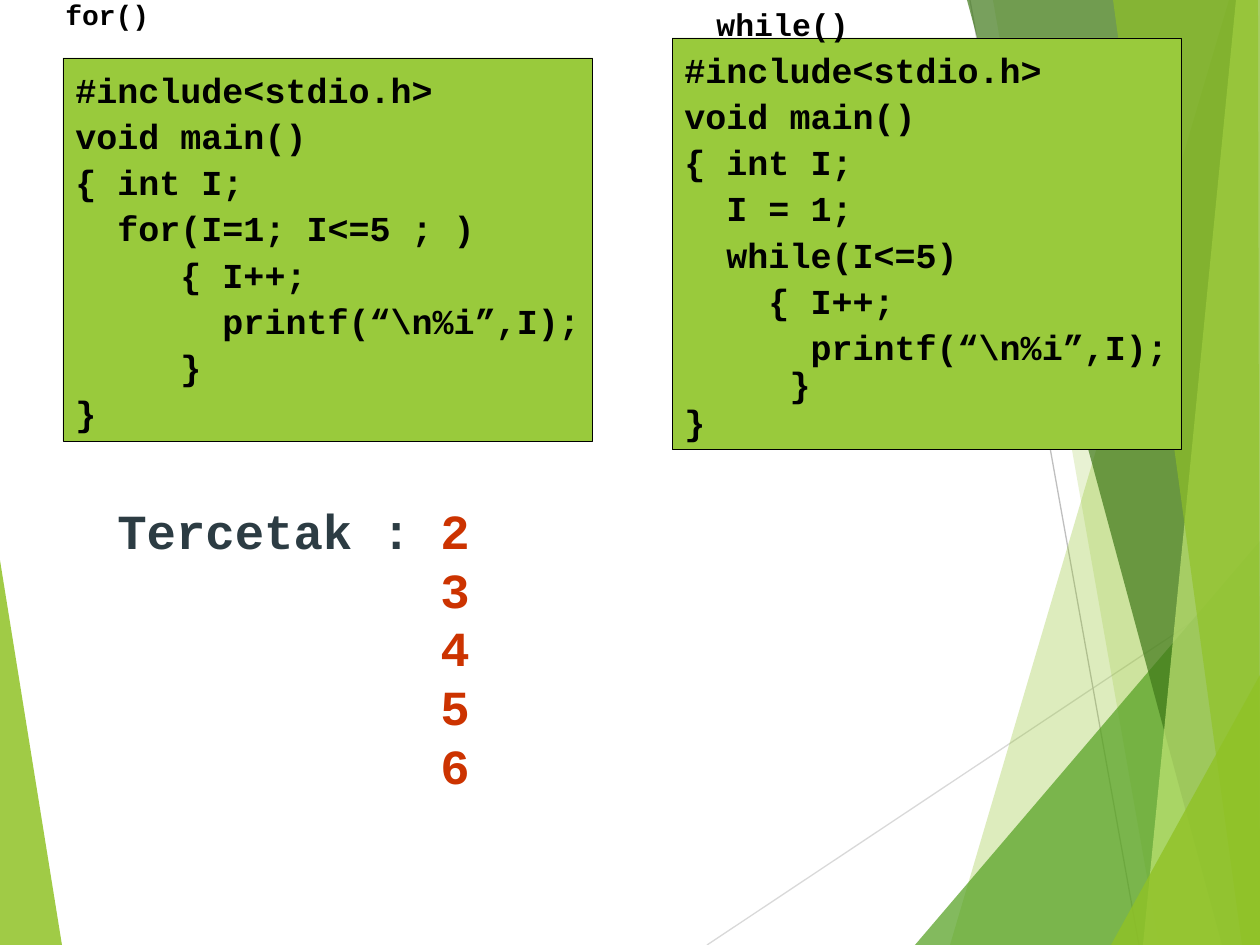
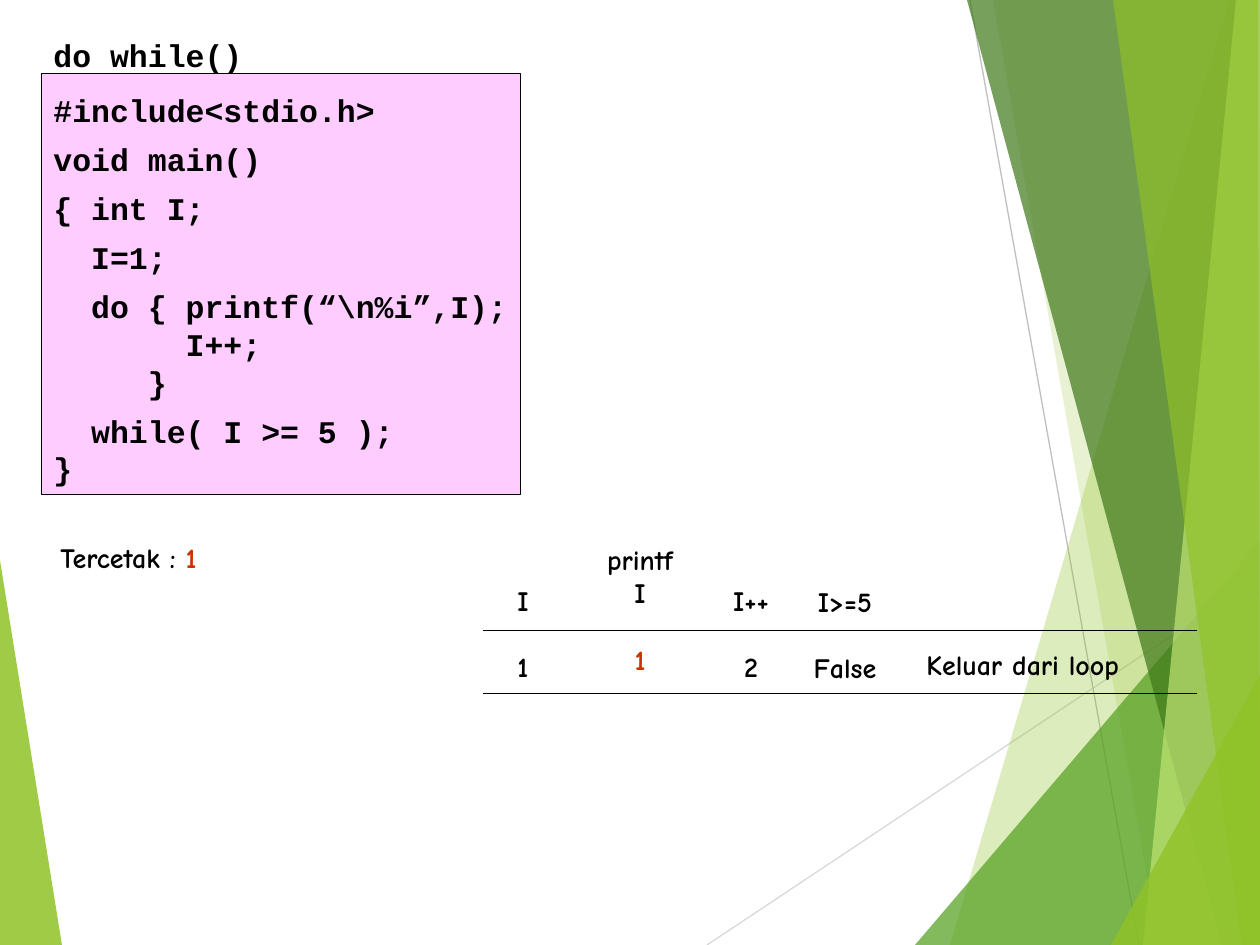
from lxml import etree
from pptx import Presentation
from pptx import util as u
from pptx.dml import color
from pptx.enum import shapes, text
from pptx.oxml import ns

PX = 914400 / 126
WIDTH, HEIGHT = 1260, 945
CODE_FONT, NOTE_FONT = "Courier New", "Comic Neue"
COLOURS = {
    "ink": "000000",
    "slate": "2C3C43",
    "red": "CC3300",
    "code_green": "99CA3C",
    "code_pink": "FFCCFF",
    "leaf": "90C226",
    "grass": "54A021",
    "forest": "3F7819",
    "lime": "C0E474",
    "pale_grey": "D9D9D9",
    "grey": "BFBFBF",
}

LEFT_FACET = ("leaf", 85, [(0, 560), (62, 945), (0, 945)])
RIGHT_FACETS = [
    ("leaf", 30, [(1229, 0), (950, 945), (1260, 945), (1260, 0)]),
    ("leaf", 20, [(993, 0), (1159, 945), (1260, 945), (1260, 0)]),
    ("grass", 72, [(915, 945), (1260, 541), (1260, 945)]),
    ("forest", 70, [(967, 0), (1222, 945), (1260, 945), (1260, 0)]),
    ("lime", 70, [(1236, 0), (1143, 945), (1260, 945), (1260, 0)]),
    ("leaf", 65, [(1113, 0), (1242, 945), (1260, 945), (1258, 0)]),
    ("leaf", 80, [(1111, 945), (1260, 675), (1260, 945)]),
]

FOR_CODE = [
    "#include<stdio.h>",
    "void main()",
    "{ int I;",
    "  for(I=1; I<=5 ; )",
    "     { I++;",
    "       printf(“\\n%i”,I);",
    "     }",
    "}",
]
WHILE_CODE = [
    "#include<stdio.h>",
    "void main()",
    "{ int I;",
    "  I = 1;",
    "  while(I<=5)",
    "    { I++;",
    "      printf(“\\n%i”,I);",
    "     }",
    "}",
]
DO_CODE = [
    "#include<stdio.h>",
    "void main()",
    "{ int I;",
    "  I=1;",
    "  do { printf(“\\n%i”,I);",
    "       I++;",
    "     }",
    "  while( I >= 5 );",
    "}",
]


def emu(*lengths):
    return [u.Emu(round(length * PX)) for length in lengths]


def rgb(name):
    return color.RGBColor.from_string(COLOURS[name])


def write(shape, lines, size, font=CODE_FONT, align=text.PP_ALIGN.LEFT):
    frame = shape.text_frame
    frame.word_wrap = False
    frame.auto_size = text.MSO_AUTO_SIZE.NONE
    frame.vertical_anchor = text.MSO_ANCHOR.TOP
    for index, spans in enumerate(lines):
        para = frame.paragraphs[0] if index == 0 else frame.add_paragraph()
        para.alignment = align
        para.font.name = font
        para.font.size = u.Pt(size)
        para.font.bold = True
        para.font.color.rgb = rgb("ink")
        for words, colour in spans:
            span = para.add_run()
            span.text = words
            if colour != "ink":
                span.font.color.rgb = rgb(colour)
    return frame.paragraphs


def add_label(page, box, lines, size, **style):
    label = page.shapes.add_textbox(*emu(*box))
    paras = write(label, lines, size, **style)
    label.text_frame.word_wrap = True
    return paras


def add_line(page, start, end, colour, width=0.5):
    line = page.shapes.add_connector(
        shapes.MSO_CONNECTOR.STRAIGHT, *emu(*start, *end))
    line.line.color.rgb = rgb(colour)
    line.line.width = u.Pt(width)
    etree.SubElement(line._element.spPr, ns.qn("a:effectLst"))


def add_facet(page, colour, opacity, points):
    builder = page.shapes.build_freeform(*points[0], scale=PX)
    builder.add_line_segments(points[1:], close=True)
    facet = builder.convert_to_shape()
    facet.shadow.inherit = False
    facet.fill.solid()
    facet.fill.fore_color.rgb = rgb(colour)
    facet.line.fill.background()
    tint = facet._element.spPr.find(".//" + ns.qn("a:srgbClr"))
    etree.SubElement(tint, ns.qn("a:alpha"), val=str(opacity * 1000))


def move_backdrop_to_layout(page):
    layout = page.slide_layout
    for holder in list(layout.placeholders):
        holder._element.getparent().remove(holder._element)
    add_facet(page, *LEFT_FACET)
    add_line(page, (707, HEIGHT), (WIDTH, 577), "pale_grey", 0.75)
    add_line(page, (970, 0), (1139, HEIGHT), "grey", 0.75)
    for facet in RIGHT_FACETS:
        add_facet(page, *facet)
    for shape in list(page.shapes):
        layout.shapes._spTree.append(shape._element)


def add_code(page, box, code, spacings, size, fill):
    panel = page.shapes.add_shape(shapes.MSO_SHAPE.RECTANGLE, *emu(*box))
    panel.shadow.inherit = False
    panel.fill.solid()
    panel.fill.fore_color.rgb = rgb(fill)
    panel.line.color.rgb = rgb("ink")
    panel.line.width = u.Pt(0.5)
    paras = write(panel, [[(line, "ink")] for line in code], size)
    for para, spacing in zip(paras, spacings):
        para.line_spacing = spacing


def add_printed(page, box):
    lines = [[("Tercetak :", "slate"), (" 2", "red")]]
    lines += [[(str(number), "red")] for number in range(3, 7)]
    paras = add_label(page, box, lines, 28)
    indent = emu(323)[0]
    for para in paras[1:]:
        para._p.get_or_add_pPr().set("marL", str(indent))


def add_trace(page, left, top, width):
    columns = [
        (40, 41, ["I"], "1", "ink"),
        (157, 0, ["printf", "I"], "1", "red"),
        (268, 41, ["I++"], "2", "ink"),
        (362, 42, ["I>=5"], "False", "ink"),
    ]
    column_width = 110
    for centre, y, heading, value, colour in columns:
        lines = [[(words, "ink")] for words in heading] + [[(value, colour)]]
        height = 80 + 34 * len(heading)
        box = (left + centre - column_width // 2, top + y, column_width, height)
        paras = add_label(page, box, lines, 16, font=NOTE_FONT,
                          align=text.PP_ALIGN.CENTER)
        paras[-1].space_before = u.Pt(19)
    for y in (94, 157):
        add_line(page, (left, top + y), (left + width, top + y), "ink")
    add_label(page, (left + 431, top + 105, 240, 46),
              [[("Keluar dari loop", "ink")]], 16, font=NOTE_FONT)


def build_for_and_while(page):
    add_code(page, (63, 58, 530, 383), FOR_CODE, [1.1] * 8, 20, "code_green")
    add_code(page, (672, 38, 509, 412), WHILE_CODE, [1.1] * 7 + [0.9] * 2,
             20, "code_green")
    add_label(page, (53, -9, 130, 46), [[("for()", "ink")]], 16)
    add_label(page, (704, -1, 180, 50), [[("while()", "ink")]], 18)
    add_printed(page, (105, 494, 400, 307))


def build_do_while(page):
    add_code(page, (41, 73, 480, 421), DO_CODE,
             [1.3] * 5 + [1.0] * 2 + [1.3, 1.0], 18, "code_pink")
    add_label(page, (41, 30, 240, 50), [[("do while()", "ink")]], 18)
    add_label(page, (48, 534, 190, 46),
              [[("Tercetak : ", "ink"), ("1", "red")]], 16, font=NOTE_FONT)
    add_trace(page, 483, 536, 714)


def main():
    deck = Presentation()
    deck.slide_width, deck.slide_height = emu(WIDTH, HEIGHT)
    blank = deck.slide_layouts[6]
    first, second = [deck.slides.add_slide(blank) for _ in range(2)]
    move_backdrop_to_layout(first)
    build_for_and_while(first)
    build_do_while(second)
    deck.save("out.pptx")


if __name__ == "__main__":
    main()
